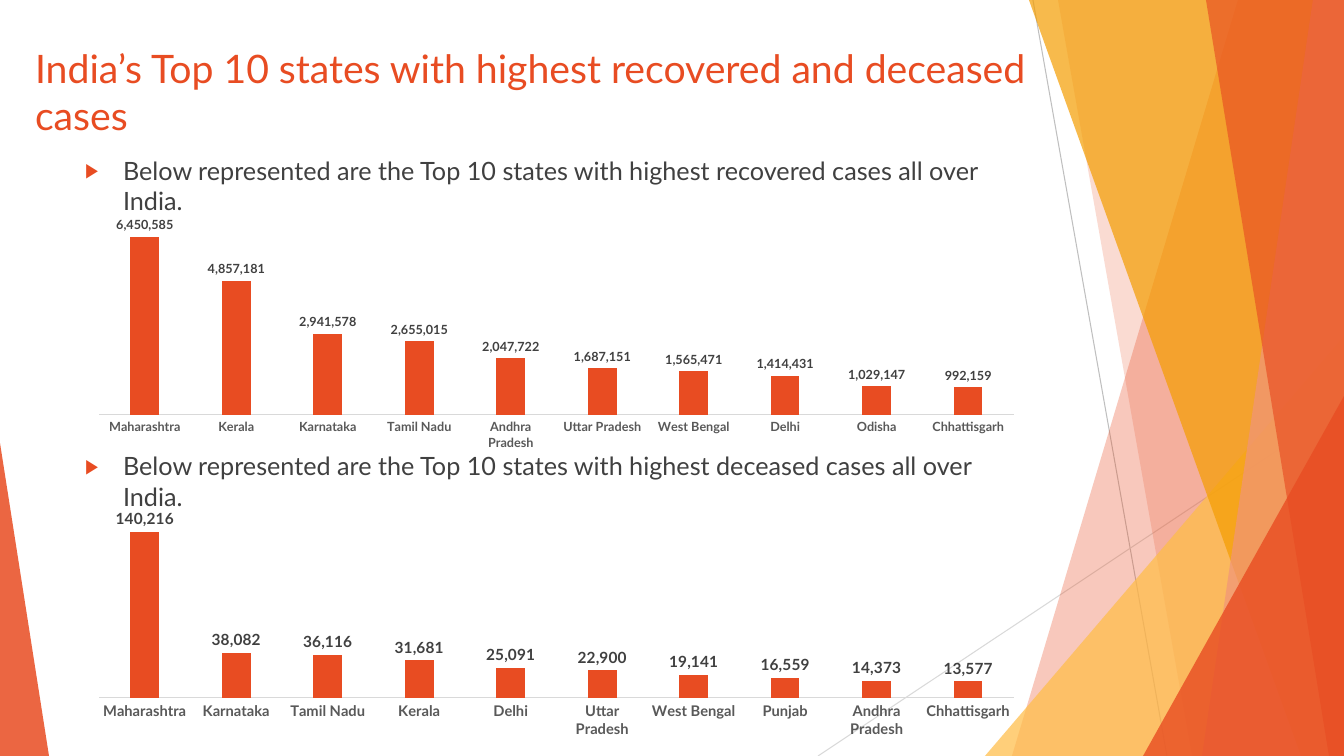
from lxml.etree import SubElement
from pptx import Presentation
from pptx.chart.data import CategoryChartData
from pptx.dml.color import RGBColor
from pptx.enum.chart import XL_CHART_TYPE as CT, XL_LABEL_POSITION as LP, XL_TICK_MARK as TM
from pptx.enum.shapes import MSO_CONNECTOR as MC, MSO_SHAPE as MS
from pptx.enum.text import MSO_ANCHOR as MA, MSO_AUTO_SIZE as AS, PP_ALIGN as PA
from pptx.oxml.ns import qn
from pptx.util import Pt

SCALE = 914400 / 100.8
FONT = "Lato"
W, H = 1344, 756
RED, AMBER, ORANGE, SALMON = "E84C22", "FFBD47", "F49D00", "F1947A"
DARK, GREY, PALE = "404040", "595959", "D9D9D9"

LINES = [((1033, 0), (1167, H), "BFBFBF"), ((W, 406), (818, H), PALE)]
BACK_BANDS = [(1238, 1012, RED, 30), (1058, 1192, RED, 20)]
FRONT_BANDS = [(1029, 1301, ORANGE, 70), (1313, 1202, SALMON, 70), (1206, 1329, RED, 65)]
BACK_TRIANGLES = [((985, 336, 359, 420), 1, AMBER, 72)]
FRONT_TRIANGLES = [((1143, 396, 201, 360), 1, RED, 80), ((0, 443, 49, 313), 0, RED, 85)]

TITLE = "India’s Top 10 states with highest recovered and deceased cases"
BULLETS = [
    ("Below represented are the Top 10 states with highest recovered cases all over India.", 0),
    ("Below represented are the Top 10 states with highest deceased cases all over India.", 168),
]
RECOVERED = {
    "Maharashtra": 6450585, "Kerala": 4857181, "Karnataka": 2941578, "Tamil Nadu": 2655015,
    "Andhra Pradesh": 2047722, "Uttar Pradesh": 1687151, "West Bengal": 1565471,
    "Delhi": 1414431, "Odisha": 1029147, "Chhattisgarh": 992159,
}
DECEASED = {
    "Maharashtra": 140216, "Karnataka": 38082, "Tamil Nadu": 36116, "Kerala": 31681,
    "Delhi": 25091, "Uttar Pradesh": 22900, "West Bengal": 19141, "Punjab": 16559,
    "Andhra Pradesh": 14373, "Chhattisgarh": 13577,
}


def px(n):
    """Turn pixels into EMU."""
    return round(n * SCALE)


def rgb(code):
    """Turn a hex string into a colour."""
    return RGBColor.from_string(code)


def apply(obj, **values):
    """Set each named attribute on an object."""
    for name, value in values.items():
        setattr(obj, name, value)


def style_font(font, size, color, bold=False):
    """Give a font the deck's typeface, a size and a colour."""
    apply(font, name=FONT, size=Pt(size), bold=bold)
    font.color.rgb = rgb(color)


def paint(sp, color, opacity):
    """Fill a shape with a translucent colour and no outline."""
    sp.shadow.inherit = False
    sp.line.fill.background()
    sp.fill.solid()
    sp.fill.fore_color.rgb = rgb(color)
    clr = sp._element.spPr.find(qn("a:solidFill"))[0]
    SubElement(clr, qn("a:alpha"), val=str(opacity * 1000))


def add_line(shapes, start, end, color):
    """Draw a thin straight line."""
    line = shapes.add_connector(MC.STRAIGHT, *map(px, start + end))
    line.line.width = Pt(0.75)
    line.line.color.rgb = rgb(color)
    SubElement(line._element.spPr, qn("a:effectLst"))


def add_band(shapes, top_x, bottom_x, color, opacity):
    """Draw a slanted band reaching the right edge of the slide."""
    fb = shapes.build_freeform(px(top_x), 0, scale=1.0)
    fb.add_line_segments([(px(x), px(y)) for x, y in ((W, 0), (W, H), (bottom_x, H))])
    paint(fb.convert_to_shape(), color, opacity)


def add_triangle(shapes, box, apex, color, opacity):
    """Draw a triangle with its apex at a fraction of the width."""
    sp = shapes.add_shape(MS.ISOSCELES_TRIANGLE, *map(px, box))
    sp.adjustments[0] = apex
    paint(sp, color, opacity)


def add_backdrop(shapes):
    """Draw the lines, bands and triangles behind the content."""
    for args in LINES:
        add_line(shapes, *args)
    for bands, triangles in ((BACK_BANDS, BACK_TRIANGLES), (FRONT_BANDS, FRONT_TRIANGLES)):
        for args in bands:
            add_band(shapes, *args)
        for args in triangles:
            add_triangle(shapes, *args)


def place(sp, box):
    """Bring a placeholder to the front, place it and return its text frame."""
    sp._element.getparent().append(sp._element)
    apply(sp, **dict(zip(("left", "top", "width", "height"), map(px, box))))
    tf = sp.text_frame
    apply(tf, word_wrap=True, auto_size=AS.NONE, vertical_anchor=MA.TOP)
    return tf


def write(p, text, size, color, before=0):
    """Write one left-aligned paragraph."""
    apply(p, alignment=PA.LEFT, space_before=Pt(before), space_after=Pt(0), line_spacing=1.0)
    r = p.add_run()
    r.text = text
    style_font(r.font, size, color)


def add_bullet(p):
    """Give a paragraph a hanging arrow bullet."""
    pPr = p._p.get_or_add_pPr()
    pPr.set("marL", str(px(38)))
    pPr.set("indent", str(-px(38)))
    SubElement(SubElement(pPr, qn("a:buClr")), qn("a:srgbClr"), val=RED)
    SubElement(pPr, qn("a:buSzPct"), val="80000")
    SubElement(pPr, qn("a:buFont"), typeface=FONT)
    SubElement(pPr, qn("a:buChar"), char="▶")


def add_columns(shapes, box, cases, top, axis_size, label_size):
    """Draw a column chart of cases by state."""
    data = CategoryChartData(number_format="#,##0")
    data.categories = list(cases)
    data.add_series("Series 1", list(cases.values()))
    chart = shapes.add_chart(CT.COLUMN_CLUSTERED, *map(px, box), data).chart
    apply(chart, has_legend=False, has_title=False)
    style_font(chart.font, 10, "000000")
    apply(chart.value_axis, visible=False, has_major_gridlines=False,
          minimum_scale=0, maximum_scale=top)
    axis = chart.category_axis
    apply(axis, major_tick_mark=TM.NONE, minor_tick_mark=TM.NONE)
    style_font(axis.tick_labels.font, axis_size, GREY, True)
    axis.format.line.width = Pt(0.75)
    axis.format.line.color.rgb = rgb(PALE)
    plot = chart.plots[0]
    apply(plot, gap_width=219, overlap=-27, vary_by_categories=False, has_data_labels=True)
    labels = plot.data_labels
    apply(labels, show_value=True, position=LP.OUTSIDE_END,
          number_format="#,##0", number_format_is_linked=False)
    style_font(labels.font, label_size, DARK, True)
    fill = plot.series[0].format.fill
    fill.solid()
    fill.fore_color.rgb = rgb(RED)


def main():
    """Build the slide and save it."""
    prs = Presentation()
    apply(prs, slide_width=px(W), slide_height=px(H))
    slide = prs.slides.add_slide(prs.slide_layouts[1])
    shapes = slide.shapes
    title, body = slide.placeholders
    add_backdrop(shapes)
    tf = place(title, (25, 39, 1073, 100))
    write(tf.paragraphs[0], TITLE, 28, RED)
    tf = place(body, (75, 150, 948, 575))
    for i, (text, before) in enumerate(BULLETS):
        p = tf.add_paragraph() if i else tf.paragraphs[0]
        write(p, text, 18, DARK, before)
        add_bullet(p)
    add_columns(shapes, (80, 217, 953, 238), RECOVERED, 7000000, 9, 9)
    add_columns(shapes, (80, 504, 953, 238), DECEASED, 160000, 10.5, 11)
    prs.save("out.pptx")


main()
